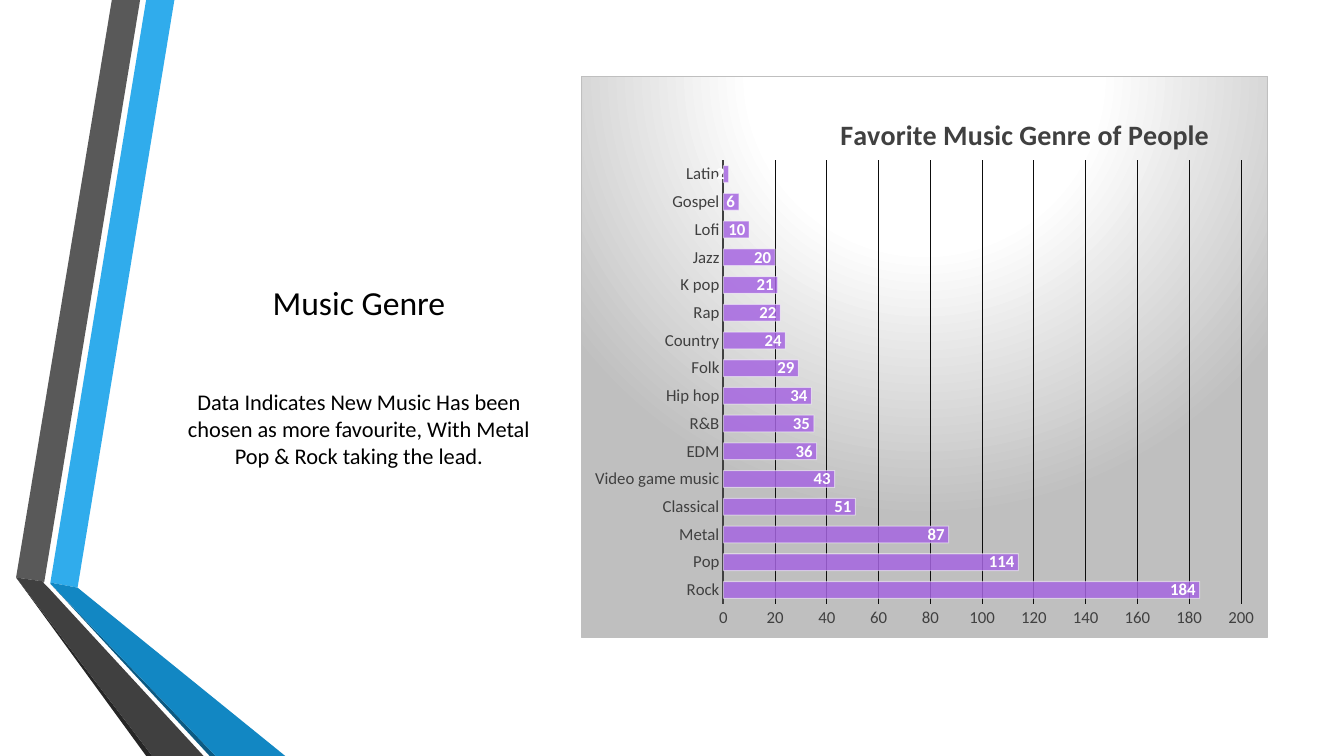
"""Build the Music Genre slide with its bar chart of favourite genres."""
from lxml.etree import SubElement
from pptx import Presentation
from pptx.chart.data import CategoryChartData
from pptx.dml.color import RGBColor
from pptx.enum.chart import XL_CHART_TYPE as ChartType, XL_LABEL_POSITION as LabelPosition
from pptx.enum.chart import XL_TICK_MARK as TickMark
from pptx.enum.text import MSO_ANCHOR as Anchor, PP_ALIGN as Align
from pptx.oxml import parse_xml
from pptx.oxml.ns import nsdecls, qn
from pptx.util import Inches, Pt

COLORS = {
    "text": "000000", "chart_text": "404040", "white": "FFFFFF", "bar": "A666E1",
    "grid": "0D0D0D", "chart_edge": "BFBFBF", "blue": "30ACEC", "gray": "595959",
    "gray_shade": "262626", "blue_shade": "0C5A82", "blue_fold": "1287C3", "gray_fold": "404040",
}

RIBBONS = [
    ("blue", [(0.5, 5.78), (0.77, 5.83), (1.73, 0), (1.45, 0)]),
    ("gray", [(1.39, 0), (1.11, 0), (0.16, 5.73), (0.44, 5.77)]),
    ("gray_shade", [(0.16, 5.73), (1.45, 7.5), (1.51, 7.5)]),
    ("blue_shade", [(0.5, 5.79), (2.08, 7.5), (2.14, 7.5)]),
    ("blue_fold", [(0.5, 5.79), (2.14, 7.5), (2.83, 7.5), (0.77, 5.83), (0.5, 5.78)]),
    ("gray_fold", [(2.02, 7.5), (0.48, 5.83), (0.43, 5.78), (0.44, 5.77), (0.16, 5.73), (1.51, 7.5)]),
]

GENRES = {
    "Rock": 184, "Pop": 114, "Metal": 87, "Classical": 51, "Video game music": 43, "EDM": 36,
    "R&B": 35, "Hip hop": 34, "Folk": 29, "Country": 24, "Rap": 22, "K pop": 21, "Jazz": 20,
    "Lofi": 10, "Gospel": 6, "Latin": 2,
}


class SlideStyle:
    """Hold the style and the current page, and add elements to it."""

    def __init__(self, page, font="Calibri"):
        self.page = page
        self.font = font

    def color(self, name):
        return RGBColor.from_string(COLORS[name])

    def set_font(self, font, size, color, bold=False):
        font.name, font.size, font.bold = self.font, Pt(size), bold
        font.color.rgb = self.color(color)

    def set_line(self, line, color, width):
        line.color.rgb = self.color(color)
        line.width = Pt(width)

    def fade(self, element, query, percent):
        for color in element.xpath(query):
            SubElement(color, qn("a:alpha"), val=str(percent * 1000))

    def place(self, element, index, **fractions):
        for old in element.findall(qn("c:layout")):
            element.remove(old)
        modes = '<c:xMode val="edge"/><c:yMode val="edge"/>'
        target = '<c:layoutTarget val="inner"/>' if "w" in fractions else ""
        sizes = "".join(f'<c:{key} val="{value}"/>' for key, value in fractions.items())
        element.insert(index, parse_xml(
            f'<c:layout {nsdecls("c")}><c:manualLayout>{target}{modes}{sizes}'
            '</c:manualLayout></c:layout>'))

    def ribbon(self, color, points):
        corners = [(Inches(x), Inches(y)) for x, y in points]
        builder = self.page.shapes.build_freeform(*corners[0])
        builder.add_line_segments(corners[1:], close=True)
        shape = builder.convert_to_shape()
        shape.shadow.inherit = False
        shape.fill.solid()
        shape.fill.fore_color.rgb = self.color(color)
        shape.line.fill.background()

    def text(self, words, top, height, size, anchor, space_after=0):
        box = self.page.shapes.add_textbox(Inches(1.62), Inches(top), Inches(3.88), Inches(height))
        frame = box.text_frame
        frame.word_wrap = True
        frame.vertical_anchor = anchor
        para = frame.paragraphs[0]
        para.text = words
        para.alignment = Align.CENTER
        para.space_after = Pt(space_after)
        self.set_font(para.font, size, "text")

    def bar_chart(self, title, values):
        data = CategoryChartData()
        data.categories = list(values)
        data.add_series("Series 1", list(values.values()))
        chart = self.page.shapes.add_chart(
            ChartType.BAR_CLUSTERED, Inches(5.76), Inches(0.75), Inches(6.82), Inches(5.58), data).chart
        self.set_font(chart.font, 10, "text")
        chart.has_legend = False
        chart.has_title = True
        para = chart.chart_title.text_frame.paragraphs[0]
        para.text = title
        self.set_font(para.font, 20, "chart_text", bold=True)
        self.place(chart.chart_title.element, 1, x=0.37, y=0.06)
        self.place(chart.element.xpath("c:chart/c:plotArea")[0], 0, x=0.207, y=0.15, w=0.754, h=0.79)
        self.axes(chart.category_axis, chart.value_axis)
        self.bars(chart.plots[0])
        self.backdrop(chart)

    def axes(self, categories, scale):
        for axis in (categories, scale):
            axis.major_tick_mark = axis.minor_tick_mark = TickMark.NONE
            self.set_font(axis.tick_labels.font, 12, "chart_text")
        categories.has_major_gridlines = False
        self.set_line(categories.format.line, "chart_text", 1.5)
        scale.minimum_scale, scale.maximum_scale, scale.major_unit = 0, 200, 20
        scale.format.line.fill.background()
        scale.has_major_gridlines = True
        self.set_line(scale.major_gridlines.format.line, "grid", 0.75)
        self.fade(scale.major_gridlines.format.element, ".//c:majorGridlines//a:srgbClr", 10)

    def bars(self, plot):
        plot.gap_width = 65
        plot.vary_by_categories = False
        series = plot.series[0]
        series.format.fill.solid()
        series.format.fill.fore_color.rgb = self.color("bar")
        self.set_line(series.format.line, "white", 0.75)
        self.fade(series.format.element, "c:spPr/a:solidFill/a:srgbClr", 85)
        self.fade(series.format.element, "c:spPr/a:ln/a:solidFill/a:srgbClr", 50)
        labels = series.data_labels
        labels.show_value = True
        labels.position = LabelPosition.INSIDE_END
        self.set_font(labels.font, 12, "white", bold=True)

    def backdrop(self, chart):
        stops = "".join(
            f'<a:gs pos="{percent * 1000}"><a:srgbClr val="{COLORS[color]}"/></a:gs>'
            for percent, color in ((0, "white"), (39, "white"), (100, "chart_edge")))
        chart.element.xpath("c:chart")[0].addnext(parse_xml(
            f'<c:spPr {nsdecls("c", "a")}><a:gradFill><a:gsLst>{stops}</a:gsLst><a:path path="circle">'
            '<a:fillToRect l="50000" t="-80000" r="50000" b="180000"/></a:path></a:gradFill>'
            f'<a:ln w="{Pt(0.75)}"><a:solidFill><a:srgbClr val="{COLORS["chart_edge"]}"/>'
            '</a:solidFill></a:ln></c:spPr>'))


deck = Presentation()
deck.slide_width, deck.slide_height = Inches(13.33), Inches(7.5)
style = SlideStyle(deck.slides.add_slide(deck.slide_layouts[6]))
for ribbon_color, outline in RIBBONS:
    style.ribbon(ribbon_color, outline)
style.text("Music Genre", 2.69, 0.56, 24, Anchor.BOTTOM)
style.text("Data Indicates New Music Has been chosen as more favourite, With Metal Pop & Rock "
           "taking the lead.", 3.25, 2, 16, Anchor.MIDDLE, space_after=6)
style.bar_chart("Favorite Music Genre of People", GENRES)
deck.save("out.pptx")
